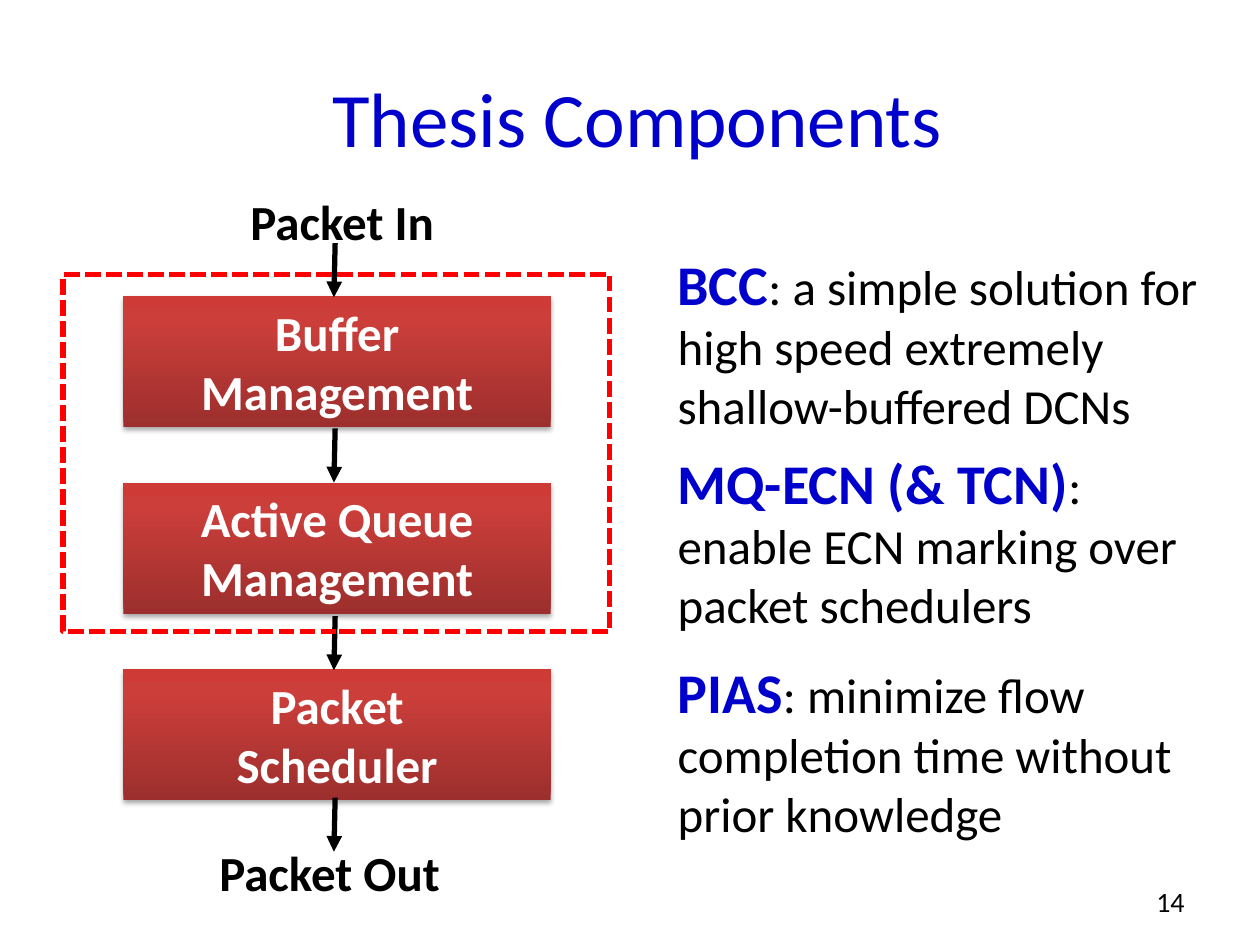
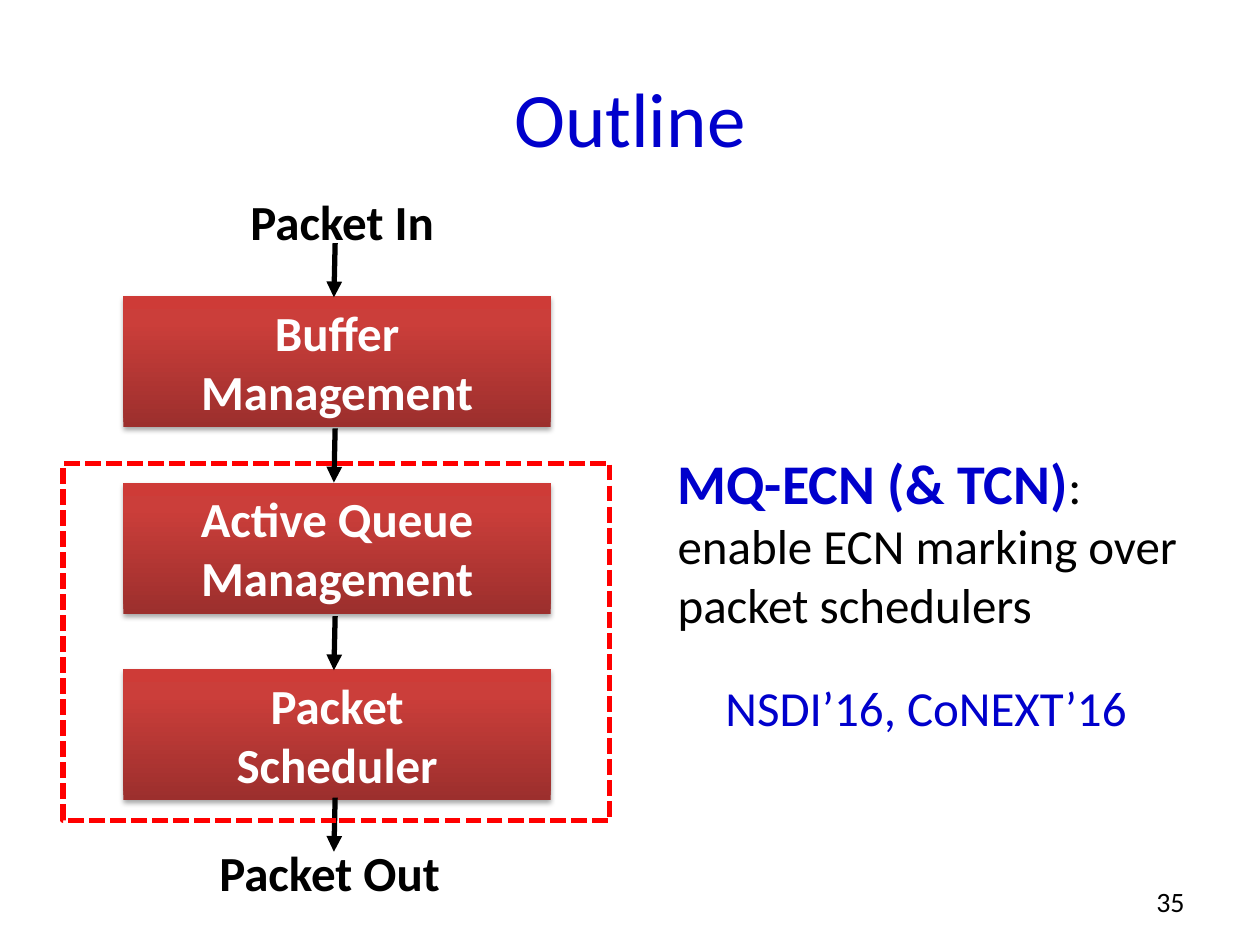
from lxml.etree import SubElement
from pptx import Presentation
from pptx.dml.color import RGBColor
from pptx.enum.dml import MSO_LINE
from pptx.enum.shapes import MSO_CONNECTOR, MSO_SHAPE
from pptx.enum.text import MSO_ANCHOR, PP_ALIGN
from pptx.oxml import parse_xml
from pptx.oxml.ns import nsdecls, qn
from pptx.util import Inches, Pt

BLUE = RGBColor(0x00, 0x00, 0xCC)
BLACK = RGBColor(0x00, 0x00, 0x00)
WHITE = RGBColor(0xFF, 0xFF, 0xFF)
RED = RGBColor(0xFF, 0x00, 0x00)
SHADES = [(0, RGBColor(0x9C, 0x2F, 0x2D)),
          (80, RGBColor(0xCB, 0x3E, 0x3A)),
          (100, RGBColor(0xCE, 0x3B, 0x37))]
FONT = "Calibri"

STAGES = [["Buffer Management"], ["Active Queue Management"],
          ["Packet", "Scheduler"]]
ENDS = [("Packet In", (1.77, 1.47, 1.89, 0.57)),
        ("Packet Out", (1.57, 6.64, 2.09, 0.57))]
ARROWS = [1.93, 3.4, 4.89, 6.33]
STAGE_TOP, STAGE_STEP = 2.35, 1.48

BCC = ("BCC", ": a simple solution for high speed extremely "
       "shallow-buffered DCNs", 1.93)
ECN = ("MQ-ECN (& TCN)", ": enable ECN marking over packet schedulers", 3.51)
PIAS = ("PIAS", ": minimize flow completion time without prior knowledge",
        5.17)

SLIDES = [
    dict(title="Thesis Components", shift=0.06, page="14", frame=2.18,
         parts=[BCC, ECN, PIAS], venue=None),
    dict(title="Outline", shift=0, page="35", frame=3.68,
         parts=[ECN], venue="NSDI’16, CoNEXT’16"),
]


def style(font, size, color, bold=False):
    font.name, font.size, font.bold = FONT, Pt(size), bold
    font.color.rgb = color


def fill_text(shape, lines, size, color, bold=False,
              align=PP_ALIGN.CENTER, anchor=MSO_ANCHOR.TOP):
    frame = shape.text_frame
    frame.word_wrap = True
    frame.vertical_anchor = anchor
    frame.text = "\n".join(lines)
    for para in frame.paragraphs:
        para.alignment = align
        style(para.font, size, color, bold)


def add_text(slide, box, text, size, color, **look):
    shape = slide.shapes.add_textbox(*map(Inches, box))
    fill_text(shape, [text], size, color, **look)


def add_rect(slide, *box):
    shape = slide.shapes.add_shape(MSO_SHAPE.RECTANGLE, *map(Inches, box))
    shape.shadow.inherit = False
    return shape


def add_stage(slide, lines, top):
    shape = add_rect(slide, 0.98, top, 3.39, 1.04)
    shape.line.fill.background()
    fill = shape.fill
    fill.gradient()
    fill.gradient_angle = 90
    stops = shape.element.spPr.find(qn("a:gradFill")).find(qn("a:gsLst"))
    for stop in list(stops):
        stops.remove(stop)
    for pos, color in SHADES:
        stop = SubElement(stops, qn("a:gs"), pos=str(pos * 1000))
        SubElement(stop, qn("a:srgbClr"), val=str(color))
    effects = shape.element.spPr.find(qn("a:effectLst"))
    effects.append(parse_xml(
        f'<a:outerShdw {nsdecls("a")} blurRad="{Pt(3.1)}" dist="{Pt(1.8)}" '
        'dir="5400000" rotWithShape="0"><a:srgbClr val="000000">'
        '<a:alpha val="35000"/></a:srgbClr></a:outerShdw>'))
    fill_text(shape, lines, 28, WHITE, bold=True)


def add_arrow(slide, top):
    ends = map(Inches, (2.66, top, 2.65, top + 0.43))
    arrow = slide.shapes.add_connector(MSO_CONNECTOR.STRAIGHT, *ends)
    arrow.line.width = Pt(3)
    arrow.line.color.rgb = BLACK
    SubElement(arrow.line._get_or_add_ln(), qn("a:tailEnd"), type="triangle")
    SubElement(arrow.element.spPr, qn("a:effectLst"))


def add_frame(slide, top):
    frame = add_rect(slide, 0.5, top, 4.34, 2.83)
    frame.fill.background()
    frame.line.color.rgb = RED
    frame.line.width = Pt(3)
    frame.line.dash_style = MSO_LINE.SQUARE_DOT
    dash = frame.line._get_or_add_ln().find(qn("a:prstDash"))
    dash.set("val", "sysDash")


def add_part(slide, name, claim, top):
    box = slide.shapes.add_textbox(*map(Inches, (5.28, top, 4.36, 1.58)))
    box.text_frame.word_wrap = True
    para = box.text_frame.paragraphs[0]
    for text, size, color, bold in [(name, 32, BLUE, True),
                                    (claim, 28, BLACK, False)]:
        run = para.add_run()
        run.text = text
        style(run.font, size, color, bold)


def add_slide(deck, title, shift, page, frame, parts, venue):
    slide = deck.slides.add_slide(deck.slide_layouts[6])
    add_text(slide, (0.5 + shift, 0.3, 9, 1.25), title, 44, BLUE,
             anchor=MSO_ANCHOR.MIDDLE)
    add_text(slide, (7.17, 6.95, 2.33, 0.4), page, 16, BLACK,
             align=PP_ALIGN.RIGHT, anchor=MSO_ANCHOR.MIDDLE)
    for i, lines in enumerate(STAGES):
        add_stage(slide, lines, STAGE_TOP + i * STAGE_STEP)
    for top in ARROWS:
        add_arrow(slide, top)
    for text, box in ENDS:
        add_text(slide, box, text, 28, BLACK, bold=True)
    add_frame(slide, frame)
    for part in parts:
        add_part(slide, *part)
    if venue:
        add_text(slide, (5.66, 5.33, 4.2, 0.57), venue, 28, BLUE,
                 align=PP_ALIGN.LEFT)


def main():
    deck = Presentation()
    deck.slide_width, deck.slide_height = Inches(10), Inches(7.5)
    for page in SLIDES:
        add_slide(deck, **page)
    deck.save("out.pptx")


if __name__ == "__main__":
    main()
